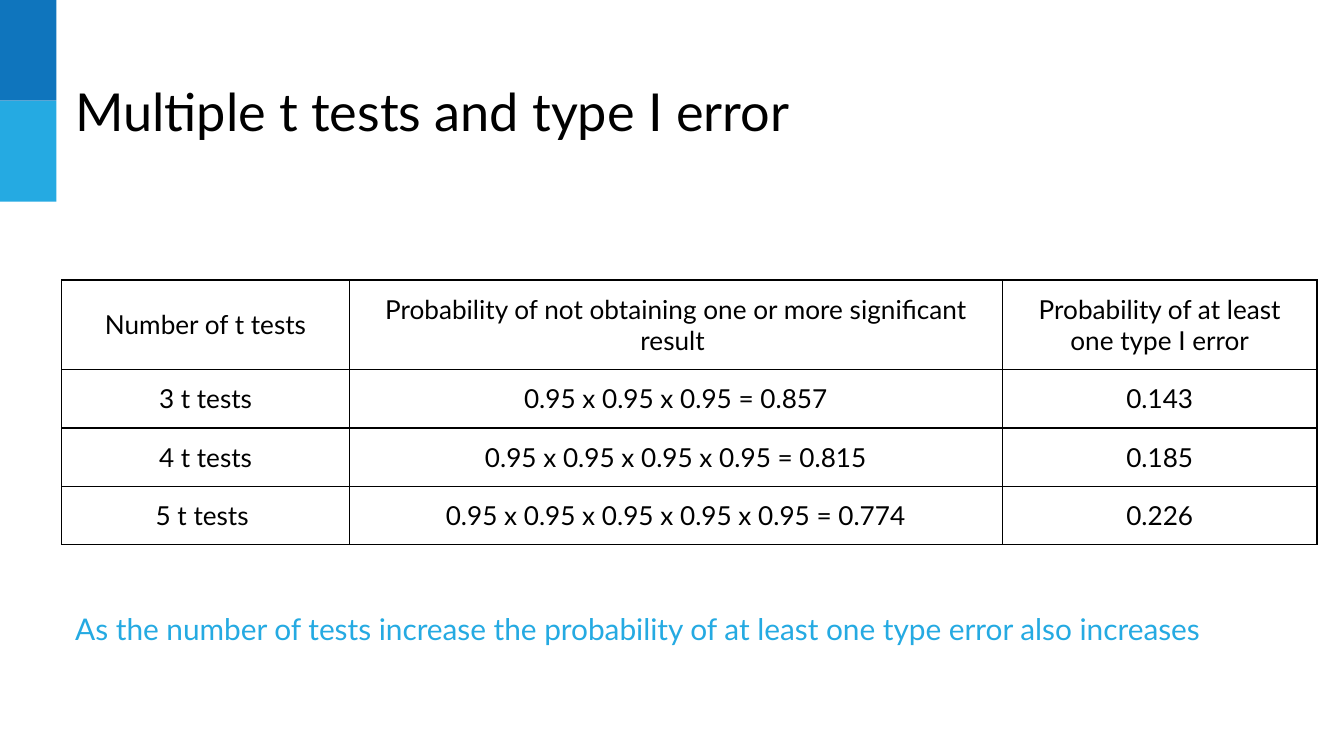
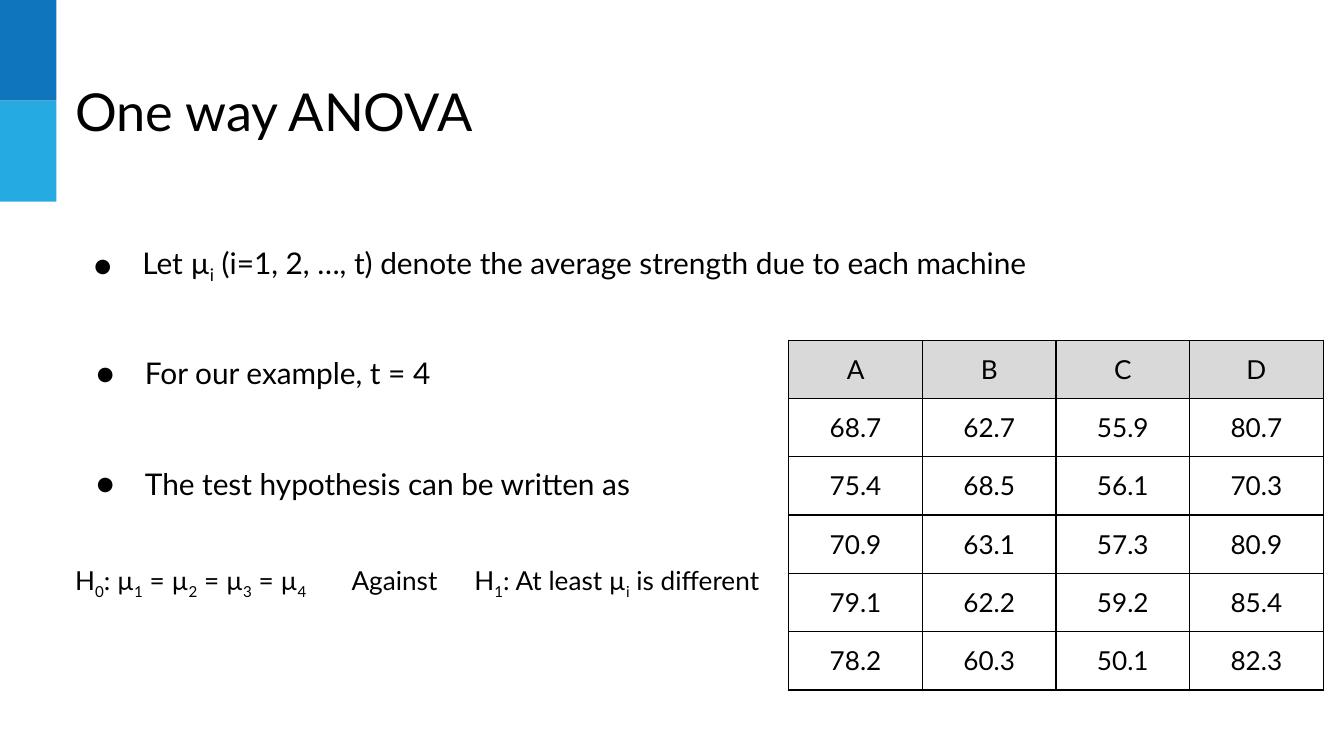
import lxml.etree
import pptx
import pptx.dml.color
import pptx.enum.shapes
import pptx.enum.text
import pptx.oxml.ns
import pptx.util

Pt = pptx.util.Pt
RGBColor = pptx.dml.color.RGBColor
ALIGN = pptx.enum.text.PP_ALIGN
ANCHOR = pptx.enum.text.MSO_ANCHOR

DARK_BLUE = RGBColor(0x0F, 0x75, 0xBD)
LIGHT_BLUE = RGBColor(0x25, 0xAA, 0xE2)
BLACK = RGBColor(0, 0, 0)
GREY = RGBColor(0xD9, 0xD9, 0xD9)

FONT = "Lato"
INSET = 7.2
LEFT = 33.1
ROW_HEIGHT = 30.24
BAND_WIDTH, BAND_HEIGHT = 30.2, 54


def add_xml(parent, tag, **attributes):
    element = lxml.etree.SubElement(parent, pptx.oxml.ns.qn(tag))
    for name, value in attributes.items():
        element.set(name, str(value))
    return element


class SlideBuilder:
    def __init__(self):
        self.deck = pptx.Presentation()
        self.deck.slide_width = Pt(720)
        self.deck.slide_height = Pt(405)
        self.page = None

    def start(self, title):
        self.page = self.deck.slides.add_slide(self.deck.slide_layouts[1])
        for row, color in enumerate((DARK_BLUE, LIGHT_BLUE)):
            self.band(row * BAND_HEIGHT, color)
        box = self.page.shapes.title
        self.place(box, LEFT, 35.3, 530.6, 45.4)
        self.set_lines(box.text_frame, [title], size=28)

    def band(self, top, color):
        band = self.page.shapes.add_shape(
            pptx.enum.shapes.MSO_SHAPE.RECTANGLE,
            0, Pt(top), Pt(BAND_WIDTH), Pt(BAND_HEIGHT))
        band.shadow.inherit = False
        band.fill.solid()
        band.fill.fore_color.rgb = color
        band.line.fill.background()

    def place(self, box, left, top, width, height):
        box.left, box.top = Pt(left), Pt(top)
        box.width, box.height = Pt(width), Pt(height)

    def body(self, top, height, lines, **style):
        box = self.page.placeholders[1]
        self.place(box, LEFT, top, 661.7, height)
        self.set_lines(box.text_frame, lines, **style)

    def text(self, left, top, width, height, lines, **style):
        box = self.page.shapes.add_textbox(Pt(left), Pt(top), Pt(width), Pt(height))
        self.set_lines(box.text_frame, lines, **style)

    def set_lines(self, frame, lines, size=16, color=BLACK, align=ALIGN.LEFT,
                  bullet=False, margin=0, hanging=0, gap=0, after=0):
        frame.word_wrap = True
        frame.auto_size = pptx.enum.text.MSO_AUTO_SIZE.NONE
        frame.vertical_anchor = ANCHOR.TOP
        frame.margin_left = frame.margin_right = Pt(INSET)
        frame.margin_top = frame.margin_bottom = Pt(INSET)
        for index, line in enumerate(lines):
            para = frame.add_paragraph() if index else frame.paragraphs[0]
            self.indent(para, bullet, margin, hanging)
            para.alignment = align
            para.space_before = Pt(gap if index else 0)
            para.space_after = Pt(after)
            self.add_spans(para, line, size, color)

    def indent(self, para, bullet, margin, hanging):
        properties = para._p.get_or_add_pPr()
        properties.set("marL", str(Pt(margin)))
        properties.set("indent", str(-Pt(hanging)))
        if bullet:
            add_xml(add_xml(properties, "a:buClr"), "a:srgbClr", val=BLACK)
            add_xml(properties, "a:buFont", typeface=FONT)
            add_xml(properties, "a:buChar", char="●")
        else:
            add_xml(properties, "a:buNone")

    def add_spans(self, para, line, size, color):
        first, *others = line.split("_")
        pieces = [(first, False)]
        for other in others:
            pieces += [(other[0], True), (other[1:], False)]
        for words, lowered in pieces:
            if not words:
                continue
            span = para.add_run()
            span.text = words
            self.style(span.font, size, color)
            if lowered:
                span._r.get_or_add_rPr().set("baseline", "-25000")

    def style(self, font, size, color):
        font.name = FONT
        font.size = Pt(size)
        font.color.rgb = color

    def table(self, left, top, widths, rows, header_fill=None):
        frame = self.page.shapes.add_table(
            len(rows), len(widths), Pt(left), Pt(top),
            Pt(sum(widths)), Pt(ROW_HEIGHT * len(rows)))
        table = frame.table
        table.first_row = table.horz_banding = False
        for column, width in zip(table.columns, widths):
            column.width = Pt(width)
        for row_index, values in enumerate(rows):
            table.rows[row_index].height = Pt(ROW_HEIGHT)
            for column_index, value in enumerate(values):
                fill = None if row_index else header_fill
                self.cell(table.cell(row_index, column_index), value, fill)

    def cell(self, cell, value, fill):
        cell.margin_left = cell.margin_right = Pt(INSET)
        cell.margin_top = cell.margin_bottom = Pt(INSET)
        cell.vertical_anchor = ANCHOR.MIDDLE
        properties = cell._tc.get_or_add_tcPr()
        for side in "LRTB":
            line = add_xml(properties, f"a:ln{side}", w=Pt(0.75))
            add_xml(add_xml(line, "a:solidFill"), "a:srgbClr", val=BLACK)
        if fill is None:
            cell.fill.background()
        else:
            cell.fill.solid()
            cell.fill.fore_color.rgb = fill
        para = cell.text_frame.paragraphs[0]
        para.text = value
        para.alignment = ALIGN.CENTER
        self.style(para.runs[0].font, 14, BLACK)


def error_slide(builder):
    builder.start("Multiple t tests and type I error")
    builder.body(319.7, 35.3, [
        "As the number of tests increase the probability of at least one type error also increases",
    ], color=LIGHT_BLUE, after=30)
    builder.table(LEFT, 150, [154.1, 349.9, 168.5], [
        ["Number of t tests",
         "Probability of not obtaining one or more significant result ",
         "Probability of at least one type I error"],
        ["3 t tests", "0.95 x 0.95 x 0.95 = 0.857", "0.143"],
        ["4 t tests", "0.95 x 0.95 x 0.95 x 0.95 = 0.815", "0.185"],
        ["5 t tests ", "0.95 x 0.95 x 0.95 x 0.95 x 0.95 = 0.774", "0.226"],
    ])


def anova_slide(builder):
    builder.start("One way ANOVA")
    bullets = {"bullet": True, "margin": 36, "hanging": 26}
    builder.body(123.8, 45.4, [
        "Let µ_i (i=1, 2, …, t) denote the average strength due to each machine",
    ], after=40, **bullets)
    builder.table(422.6, 182.2, [71.6] * 4, [
        ["A", "B", "C", "D"],
        ["68.7", "62.7", "55.9", "80.7"],
        ["75.4", "68.5", "56.1", "70.3"],
        ["70.9", "63.1", "57.3", "80.9"],
        ["79.1", "62.2", "59.2", "85.4"],
        ["78.2", "60.3", "50.1", "82.3"],
    ], header_fill=GREY)
    builder.text(34.6, 182.9, 367.2, 187.9, [
        "For our example, t = 4",
        "The test hypothesis can be written as",
    ], gap=40, **bullets)
    hypothesis = {"size": 14, "margin": 21.6, "hanging": 21.6}
    against = {"size": 14, "align": ALIGN.CENTER}
    for left, width, line, style in (
        (LEFT, 142.6, "H_0: µ_1 = µ_2 = µ_3 = µ_4", hypothesis),
        (247, 171.4, "H_1: At least µ_i is different", hypothesis),
        (175.7, 71.3, "Against", against),
    ):
        builder.text(left, 295.2, width, 34.6, [line], **style)


def main():
    builder = SlideBuilder()
    error_slide(builder)
    anova_slide(builder)
    builder.deck.save("out.pptx")


if __name__ == "__main__":
    main()
